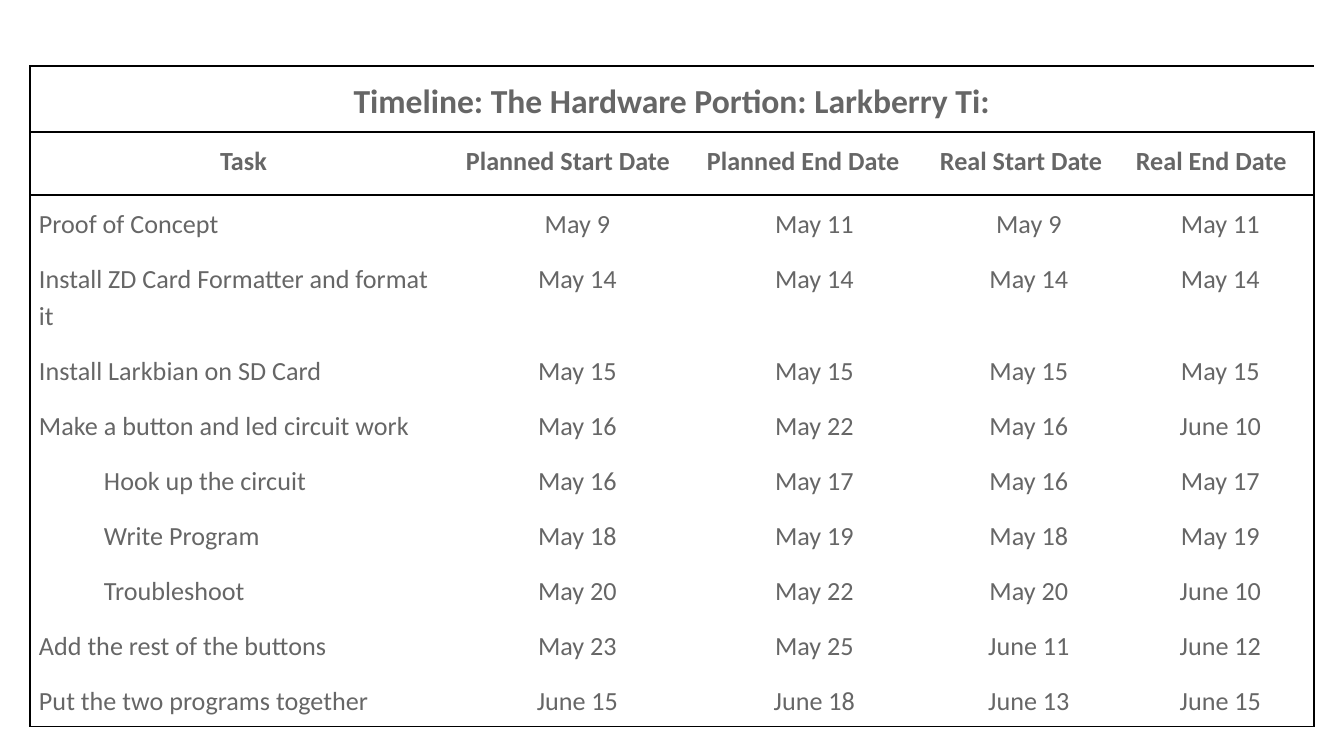
from lxml.etree import SubElement
from pptx import Presentation
from pptx.dml.color import RGBColor
from pptx.enum.text import PP_ALIGN as Align
from pptx.oxml.ns import qn
from pptx.util import Emu, Pt

FONT, GREY, BLACK = "Calibri", "666666", "000000"
MARGIN, INDENT = 9, 65
COLUMN_WIDTHS = [427, 241, 233, 196, 187]
TITLE_H, HEADER_H, ROW_H, TWO_LINE_H = 66, 63, 55, 92
TITLE = "Timeline: The Hardware Portion: Larkberry Ti:"
HEADERS = ["Task", "Planned Start Date", "Planned End Date",
           "Real Start Date", "Real End Date"]
# Task, is it a subtask, row height, dates
TASKS = [
    ("Proof of Concept", False, ROW_H,
     ["May 9", "May 11", "May 9", "May 11"]),
    ("Install ZD Card Formatter and format it", False, TWO_LINE_H,
     ["May 14", "May 14", "May 14", "May 14"]),
    ("Install Larkbian on SD Card", False, ROW_H,
     ["May 15", "May 15", "May 15", "May 15"]),
    ("Make a button and led circuit work", False, ROW_H,
     ["May 16", "May 22", "May 16", "June 10"]),
    ("Hook up the circuit", True, ROW_H,
     ["May 16", "May 17", "May 16", "May 17"]),
    ("Write Program", True, ROW_H,
     ["May 18", "May 19", "May 18", "May 19"]),
    ("Troubleshoot", True, ROW_H,
     ["May 20", "May 22", "May 20", "June 10"]),
    ("Add the rest of the buttons", False, ROW_H,
     ["May 23", "May 25", "June 11", "June 12"]),
    ("Put the two programs together", False, ROW_H,
     ["June 15", "June 18", "June 13", "June 15"]),
]


def px(n):
    return Emu(round(n * 914400 / 134.4))


def color(value):
    return RGBColor.from_string(value)


def write_cell(cell, text, align=Align.CENTER, size=14, bold=False, indent=0):
    cell.margin_left = px(MARGIN + indent)
    cell.margin_right = cell.margin_top = cell.margin_bottom = px(MARGIN)
    cell.text = text
    p = cell.text_frame.paragraphs[0]
    p.alignment, p.line_spacing = align, 1.15
    font = p.runs[0].font
    font.name, font.size, font.bold = FONT, Pt(size), bold
    font.color.rgb = color(GREY)


def set_borders(cell, widths):
    """Draw the sides named in widths (L, R, T, B: points) and hide the rest."""
    tcPr = cell._tc.get_or_add_tcPr()
    for side in "LRTB":
        width = widths.get(side, 0)
        ln = SubElement(tcPr, qn(f"a:ln{side}"), w=str(Pt(width)))
        if width:
            fill = SubElement(ln, qn("a:solidFill"))
            SubElement(fill, qn("a:srgbClr"), val=BLACK)
        else:
            SubElement(ln, qn("a:noFill"))
    cell.fill.background()


def rule_table(table):
    """Frame the table, and rule off its title and header rows."""
    last_row, last_col = len(table.rows) - 1, len(table.columns) - 1
    below = {0: 1, 1: 0.75, last_row: 1}
    for row in range(last_row + 1):
        for col in range(last_col + 1):
            set_borders(table.cell(row, col), {
                "L": 1 if col == 0 else 0,
                "R": 1 if col == last_col else 0,
                "T": 1 if row == 0 else below.get(row - 1, 0),
                "B": below.get(row, 0),
            })


def add_timeline(s):
    heights = [TITLE_H, HEADER_H] + [height for _, _, height, _ in TASKS]
    table = s.shapes.add_table(
        len(heights), len(COLUMN_WIDTHS), px(30), px(66),
        px(sum(COLUMN_WIDTHS)), px(sum(heights))).table
    table.first_row = table.horz_banding = False
    for column, width in zip(table.columns, COLUMN_WIDTHS):
        column.width = px(width)
    for row, height in zip(table.rows, heights):
        row.height = px(height)

    table.cell(0, 0).merge(table.cell(0, len(COLUMN_WIDTHS) - 1))
    write_cell(table.cell(0, 0), TITLE, size=18, bold=True)
    for col, header in enumerate(HEADERS):
        align = Align.JUSTIFY if col else Align.CENTER
        write_cell(table.cell(1, col), header, align, bold=True)
    for row, (task, subtask, _, dates) in enumerate(TASKS, start=2):
        write_cell(table.cell(row, 0), task, Align.LEFT,
                   indent=INDENT if subtask else 0)
        for col, date in enumerate(dates, start=1):
            write_cell(table.cell(row, col), date)
    rule_table(table)


def main():
    prs = Presentation()
    prs.slide_width, prs.slide_height = px(1344), px(756)
    s = prs.slides.add_slide(prs.slide_layouts[6])
    add_timeline(s)
    prs.save("out.pptx")


if __name__ == "__main__":
    main()
